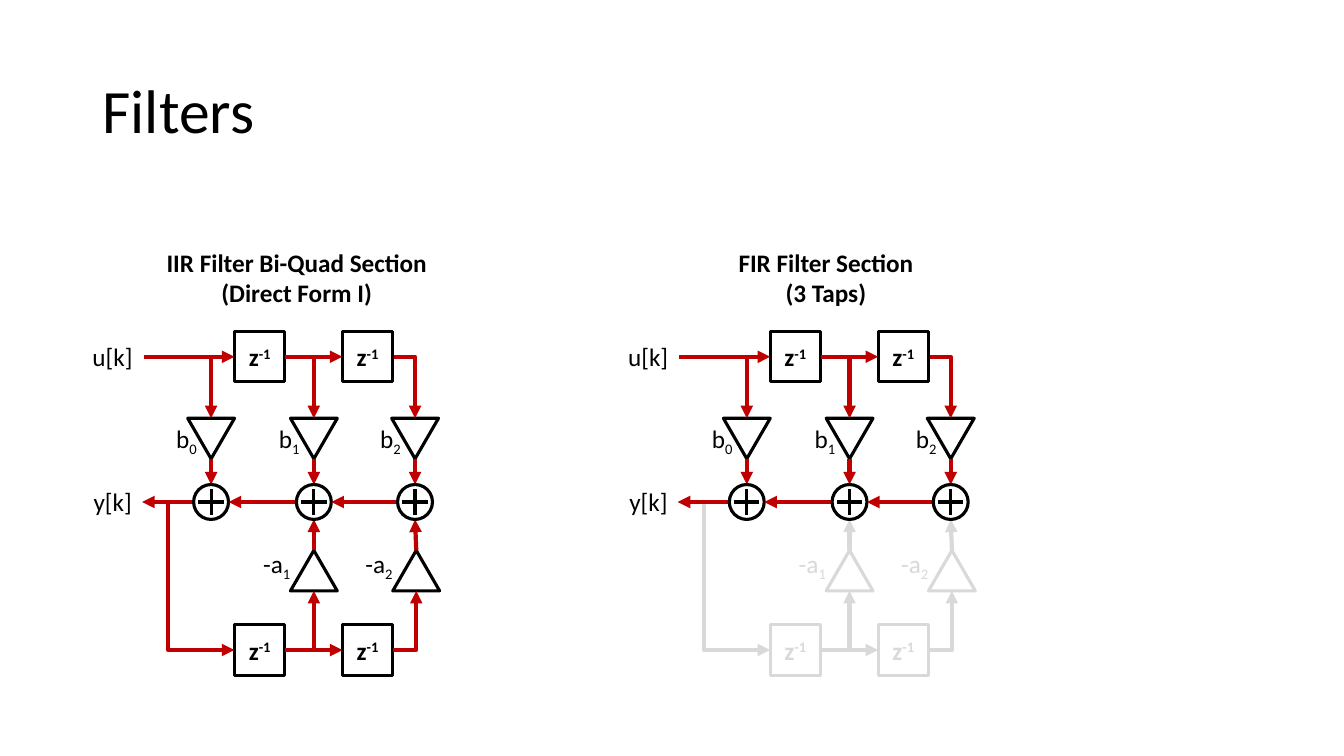
from lxml.etree import SubElement
from pptx import Presentation
from pptx.dml.color import RGBColor
from pptx.enum.shapes import MSO_CONNECTOR, MSO_SHAPE
from pptx.enum.text import MSO_ANCHOR, PP_ALIGN
from pptx.oxml.ns import qn
from pptx.util import Cm, Pt

BLACK, RED, GREY = "000000", "C00000", "D9D9D9"
TAPS = (5.32, 7.91, 10.46)
GAINS = (7.91, 10.49)
CELLS = (5.91, 8.63)
SIDE = 1.27
WIDE, HIGH = 1.18, 1.02
IN_Y, SUM_Y, BACK_Y = 8.99, 12.65, 16.38
B_TOP, A_TOP = 10.54, 13.87
RING, ARM = 0.44, 0.32
IN_X, OUT_X = 3.62, 3.58
PITCH = 13.5


def tint(code):
    """Turn a hex string into a colour."""
    return RGBColor.from_string(code)


def write(frame, *lines, size=18, color=BLACK, bold=False, align=PP_ALIGN.LEFT,
          shift=0, space=None):
    """Fill a text frame; a line is a text or a pair of base and script."""
    for count, line in enumerate(lines):
        para = frame.add_paragraph() if count else frame.paragraphs[0]
        para.alignment = align
        para.line_spacing = space
        parts = (line,) if isinstance(line, str) else line
        for rank, part in enumerate(parts):
            run = para.add_run()
            run.text = part
            run.font.name = "Calibri"
            run.font.size = Pt(size)
            run.font.bold = bold
            run.font.color.rgb = tint(color)
            if rank:
                run._r.get_or_add_rPr().set("baseline", str(shift * 1000))


def label(group, line, left, top, width, color=BLACK):
    """Add a short label that does not wrap."""
    frame = group.shapes.add_textbox(Cm(left), Cm(top), Cm(width), Cm(HIGH)).text_frame
    frame.word_wrap = False
    write(frame, line, color=color, shift=-25)


def outline(group, kind, left, top, width, height, color=BLACK):
    """Add an unfilled shape with a plain outline."""
    shape = group.shapes.add_shape(kind, Cm(left), Cm(top), Cm(width), Cm(height))
    shape.shadow.inherit = False
    shape.fill.background()
    shape.line.color.rgb = tint(color)
    shape.line.width = Pt(2.25)
    return shape


def delay(group, left, row, color=BLACK):
    """Add a unit delay box centred on a row."""
    shape = outline(group, MSO_SHAPE.RECTANGLE, left, row - SIDE / 2, SIDE, SIDE, color)
    shape.text_frame.vertical_anchor = MSO_ANCHOR.MIDDLE
    write(shape.text_frame, ("z", "-1"), color=color, bold=True,
          align=PP_ALIGN.CENTER, shift=30)


def gain(group, mid, top, color=BLACK, turn=0):
    """Add a gain triangle."""
    shape = outline(group, MSO_SHAPE.ISOSCELES_TRIANGLE, mid - WIDE / 2, top, WIDE, HIGH, color)
    shape.rotation = turn


def wire(group, start, end, color=RED, width=3, arrow=True, bend=None, adjust=None):
    """Add a straight or bent line, with an arrowhead if asked."""
    kind = MSO_CONNECTOR.ELBOW if bend else MSO_CONNECTOR.STRAIGHT
    line = group.shapes.add_connector(kind, *map(Cm, start + end))
    line.line.color.rgb = tint(color)
    line.line.width = Pt(width)
    props = line._element.spPr
    if bend:
        shape = props.find(qn("a:prstGeom"))
        shape.set("prst", bend)
        if adjust is not None:
            guide = SubElement(shape.find(qn("a:avLst")), qn("a:gd"))
            guide.set("name", "adj1")
            guide.set("fmla", f"val {adjust}")
    if arrow:
        SubElement(props.find(qn("a:ln")), qn("a:tailEnd")).set("type", "triangle")
    SubElement(props, qn("a:effectLst"))


def adder(group, mid):
    """Add a summing node with its cross."""
    outline(group, MSO_SHAPE.OVAL, mid - RING, SUM_Y - RING, 2 * RING, 2 * RING)
    for across, down in ((ARM, 0), (0, ARM)):
        wire(group, (mid - across, SUM_Y - down), (mid + across, SUM_Y + down),
             BLACK, 2.25, arrow=False)


def feedback(group, start, ink, flow):
    """Draw the recursive half of a section."""
    for left in CELLS:
        delay(group, start + left, BACK_Y, ink)
    for order, (mid, tap, left) in enumerate(zip(GAINS, TAPS[1:], CELLS), 1):
        mid, tap, right = start + mid, start + tap, start + left + SIDE
        gain(group, mid, A_TOP, ink)
        label(group, ("-a", str(order)), mid - 1.53, 13.69, 1.24, ink)
        wire(group, (mid, A_TOP), (tap, SUM_Y + RING), flow)
        wire(group, (right, BACK_Y), (mid, A_TOP + HIGH), flow, bend="bentConnector2")
    wire(group, (start + CELLS[0] + SIDE, BACK_Y), (start + CELLS[1], BACK_Y), flow)
    wire(group, (start + TAPS[0] - RING, SUM_Y), (start + CELLS[0], BACK_Y), flow,
         bend="bentConnector3", adjust=-62000)


def forward(group, start):
    """Draw the feed-forward half of a section."""
    label(group, "u[k]", start + 2.08, 8.48, 1.52)
    label(group, "y[k]", start + 2.11, 12.12, 1.47)
    exits = [start + IN_X] + [start + left + SIDE for left in CELLS]
    sinks = [start + OUT_X] + [start + tap + RING for tap in TAPS[:-1]]
    for order, (tap, source, sink) in enumerate(zip(TAPS, exits, sinks)):
        mid = start + tap
        gain(group, mid, B_TOP, turn=180)
        label(group, ("b", str(order)), mid - 1.13, B_TOP, 1.07)
        wire(group, (source, IN_Y), (mid, B_TOP), bend="bentConnector2")
        wire(group, (mid, B_TOP + HIGH), (mid, SUM_Y - RING))
        wire(group, (mid - RING, SUM_Y), (sink, SUM_Y))
        adder(group, mid)
    for left, source in zip(CELLS, exits):
        delay(group, start + left, IN_Y)
        wire(group, (source, IN_Y), (start + left, IN_Y))


def section(slide, start, lines, left, width, ink=BLACK, flow=RED):
    """Draw one filter with its heading."""
    group = slide.shapes.add_group_shape()
    feedback(group, start, ink, flow)
    forward(group, start)
    frame = group.shapes.add_textbox(Cm(left), Cm(6.1), Cm(width), Cm(1.8)).text_frame
    frame.word_wrap = False
    write(frame, *lines, bold=True, align=PP_ALIGN.CENTER)


def main():
    """Build the slide and save it."""
    deck = Presentation()
    deck.slide_width, deck.slide_height = Cm(33.87), Cm(19.05)
    slide = deck.slides.add_slide(deck.slide_layouts[5])
    title = slide.shapes.title
    title.left, title.top, title.width, title.height = map(Cm, (2.33, 1.01, 29.21, 3.68))
    title.text_frame.vertical_anchor = MSO_ANCHOR.MIDDLE
    write(title.text_frame, "Filters", size=44, space=0.9)
    section(slide, 0, ("IIR Filter Bi-Quad Section", "(Direct Form I)"), 3.91, 7.14)
    section(slide, PITCH, ("FIR Filter Section", "(3 Taps)"), 18.34, 4.95, GREY, GREY)
    deck.save("out.pptx")


if __name__ == "__main__":
    main()
